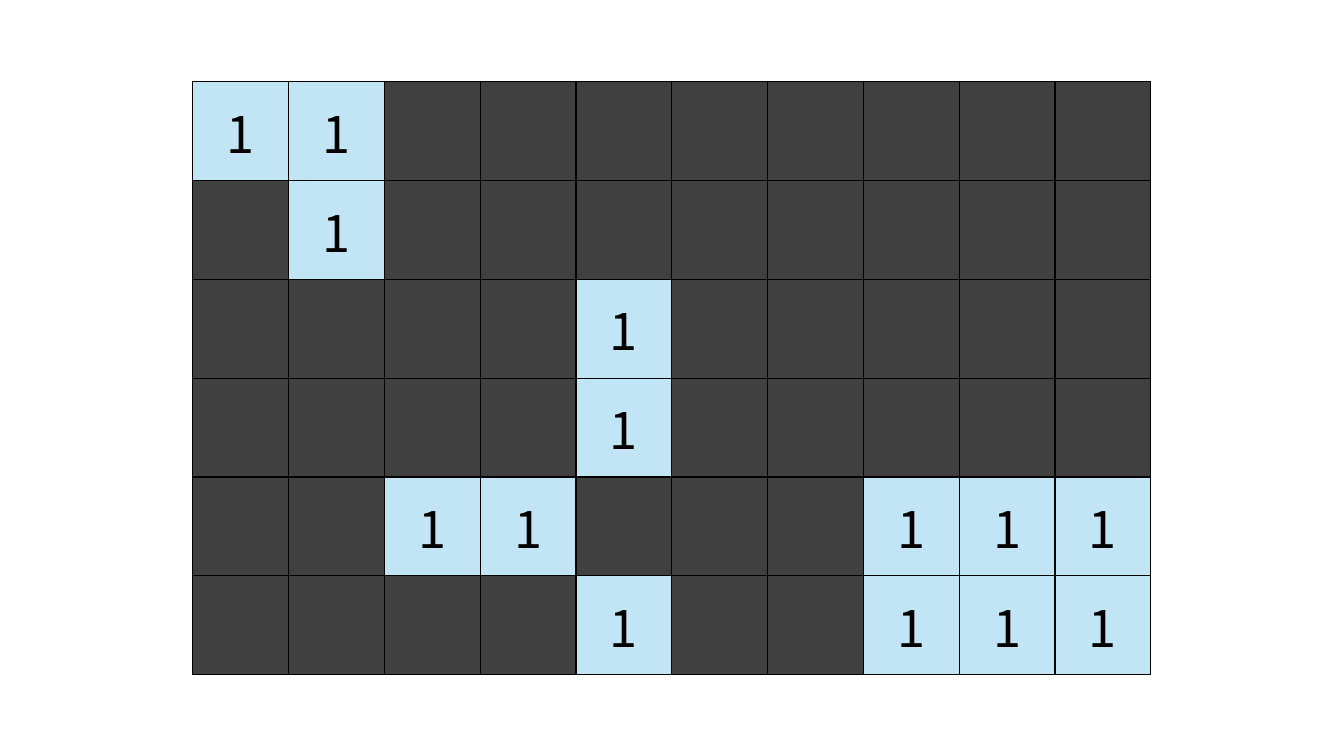
from lxml.etree import SubElement
from pptx import Presentation
from pptx.dml.color import RGBColor
from pptx.enum.text import MSO_ANCHOR, PP_ALIGN
from pptx.oxml.ns import qn
from pptx.util import Cm, Pt

GRID = [
    "11........",
    ".1........",
    "....1.....",
    "....1.....",
    "..11...111",
    "....1..111",
]


def color(hex_code):
    """Turn a hex string into a colour."""
    return RGBColor.from_string(hex_code)


class GridPage:
    """Holds the style and the current slide."""

    font = "Noto Sans CJK KR"
    size = 36
    ink = "000000"
    marked = "C1E5F5"
    empty = "404040"

    def __init__(self, deck):
        """Add a blank slide to the deck."""
        self.page = deck.slides.add_slide(deck.slide_layouts[6])

    def border(self, cell):
        """Draw a thin line on all four sides of a cell."""
        properties = cell._tc.get_or_add_tcPr()
        for side in ("a:lnL", "a:lnR", "a:lnT", "a:lnB"):
            line = SubElement(properties, qn(side), w=str(Pt(1)))
            fill = SubElement(line, qn("a:solidFill"))
            SubElement(fill, qn("a:srgbClr"), val=self.ink)

    def mark(self, cell, text):
        """Write a centred value in a cell."""
        cell.text_frame.text = text
        cell.vertical_anchor = MSO_ANCHOR.MIDDLE
        para = cell.text_frame.paragraphs[0]
        para.alignment = PP_ALIGN.CENTER
        span = para.runs[0]
        span.font.name = self.font
        span.font.size = Pt(self.size)
        span.font.color.rgb = color(self.ink)

    def grid(self, rows, left, top, width, height):
        """Add a table of equal cells, light where a value stands."""
        frame = self.page.shapes.add_table(
            len(rows), len(rows[0]), Cm(left), Cm(top), Cm(width), Cm(height)
        )
        table = frame.table
        table.first_row = False
        table.horz_banding = False
        for row_index, row in enumerate(rows):
            for column_index, value in enumerate(row):
                cell = table.cell(row_index, column_index)
                self.border(cell)
                cell.fill.solid()
                if value == ".":
                    cell.fill.fore_color.rgb = color(self.empty)
                else:
                    cell.fill.fore_color.rgb = color(self.marked)
                    self.mark(cell, value)


def main():
    """Build the slide and save it."""
    deck = Presentation()
    deck.slide_width = Cm(33.87)
    deck.slide_height = Cm(19.05)
    GridPage(deck).grid(GRID, left=4.86, top=2.06, width=24.14, height=14.94)
    deck.save("out.pptx")


if __name__ == "__main__":
    main()
